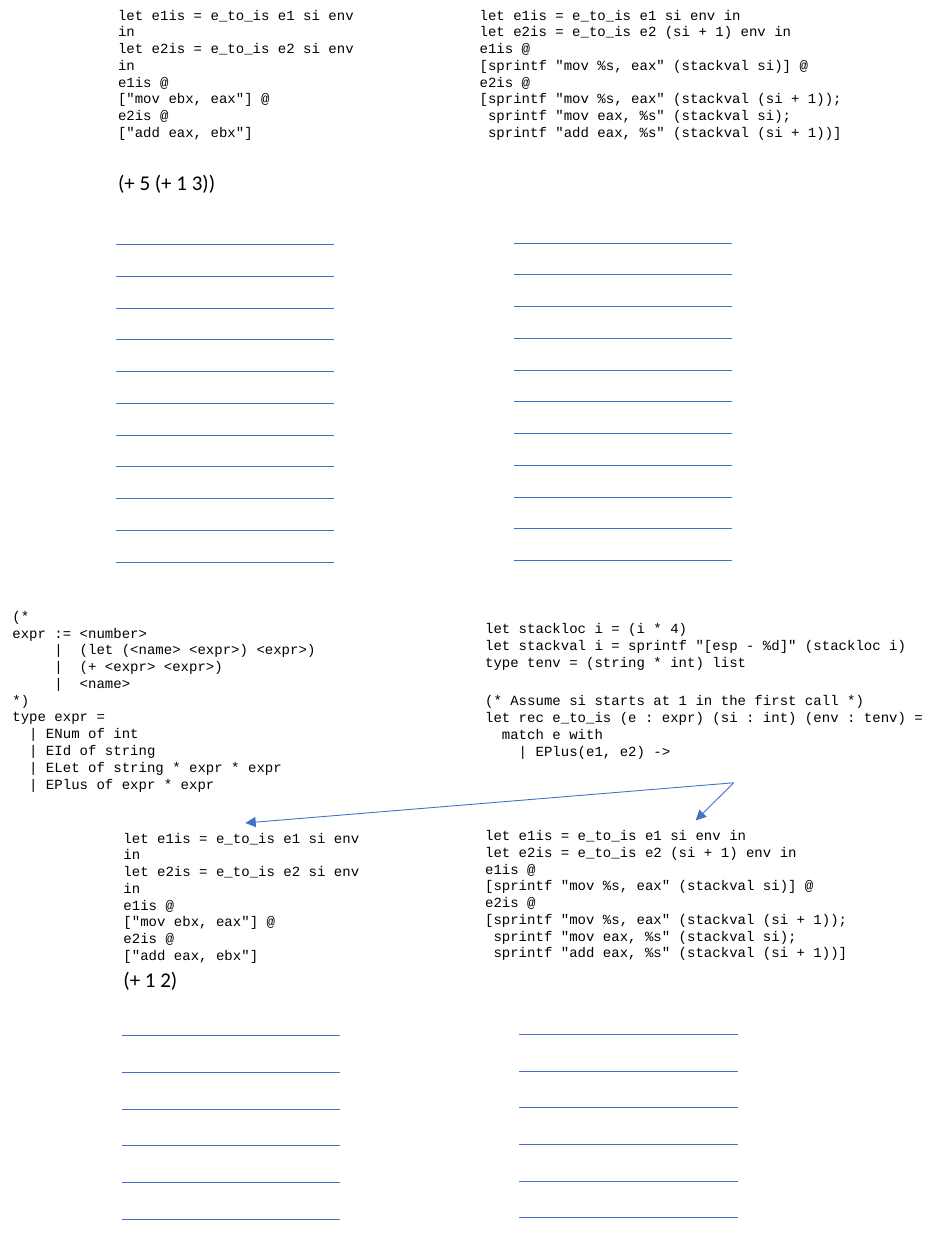
from lxml import etree
from pptx import Presentation
from pptx.dml.color import RGBColor
from pptx.enum.shapes import MSO_CONNECTOR
from pptx.enum.text import MSO_AUTO_SIZE
from pptx.oxml.ns import qn
from pptx.util import Cm, Pt

STRAIGHT = MSO_CONNECTOR.STRAIGHT
GROW = MSO_AUTO_SIZE.SHAPE_TO_FIT_TEXT
BLACK = RGBColor(0x00, 0x00, 0x00)
BLUE = RGBColor(0x44, 0x72, 0xC4)
TOP, BOTTOM = 0, 2

REGISTER_CODE = [
    "let e1is = e_to_is e1 si env in",
    "let e2is = e_to_is e2 si env in",
    "e1is @",
    '["mov ebx, eax"] @',
    "e2is @",
    '["add eax, ebx"]',
]
STACK_CODE = [
    "let e1is = e_to_is e1 si env in",
    "let e2is = e_to_is e2 (si + 1) env in",
    "e1is @",
    '[sprintf "mov %s, eax" (stackval si)] @',
    "e2is @",
    '[sprintf "mov %s, eax" (stackval (si + 1));',
    ' sprintf "mov eax, %s" (stackval si);',
    ' sprintf "add eax, %s" (stackval (si + 1))]',
]
GRAMMAR = [
    "(*",
    "expr := <number>",
    "     |  (let (<name> <expr>) <expr>)",
    "     |  (+ <expr> <expr>)",
    "     |  <name>",
    "*)",
    "type expr =",
    "  | ENum of int",
    "  | EId of string",
    "  | ELet of string * expr * expr",
    "  | EPlus of expr * expr",
]
HELPERS = [
    "let stackloc i = (i * 4)",
    'let stackval i = sprintf "[esp - %d]" (stackloc i)',
    "type tenv = (string * int) list",
]
COMPILER = [
    "(* Assume si starts at 1 in the first call *)",
    "let rec e_to_is (e : expr) (si : int) (env : tenv) =",
    "  match e with",
    "    | EPlus(e1, e2) ->",
]

# Answer lines in cm: left, first line's y, gap, count
ANSWER_LINES = [
    (2.34, 4.93, 0.64, 11),
    (10.36, 4.9, 0.64, 11),
    (2.45, 20.88, 0.74, 6),
    (10.47, 20.85, 0.74, 6),
]
ANSWER_WIDTH = 4.4


def add_text(slide, lines, left, top, width, height, font="Courier New", size=8):
    sp = slide.shapes.add_textbox(Cm(left), Cm(top), Cm(width), Cm(height))
    tf = sp.text_frame
    tf.word_wrap = True
    tf.auto_size = GROW
    for i, line in enumerate(lines):
        p = tf.add_paragraph() if i else tf.paragraphs[0]
        r = p.add_run()
        r.text = line
        r.font.name = font
        r.font.size = Pt(size)
        r.font.color.rgb = BLACK
    return sp


def add_line(slide, x1, y1, x2, y2):
    line = slide.shapes.add_connector(STRAIGHT, Cm(x1), Cm(y1), Cm(x2), Cm(y2))
    line.line.color.rgb = BLUE
    line.line.width = Pt(0.5)
    etree.SubElement(line._element.spPr, qn("a:effectLst"))
    return line


def add_arrow(slide, source, target):
    """Join the bottom of source to the top of target."""
    arrow = add_line(slide, 0, 0, 1, 1)
    arrow.begin_connect(source, BOTTOM)
    arrow.end_connect(target, TOP)
    ln = arrow.line._get_or_add_ln()
    etree.SubElement(ln, qn("a:tailEnd"), type="triangle")


def main():
    prs = Presentation()
    prs.slide_width, prs.slide_height = Cm(19.05), Cm(25.4)
    s = prs.slides.add_slide(prs.slide_layouts[6])

    add_text(s, REGISTER_CODE, 2.13, 0, 5.41, 2.31)
    add_text(s, STACK_CODE, 9.42, 0, 9.63, 3)
    add_text(s, ["(+ 5 (+ 1 3))"], 2.13, 3.3, 3.99, 0.76, font="Calibri", size=12)

    add_text(s, GRAMMAR, 0, 12.12, 8.03, 4.37)
    add_text(s, HELPERS, 9.53, 12.37, 9.52, 1.27)
    compiler = add_text(s, COMPILER, 9.53, 13.82, 10.52, 1.96)

    register = add_text(s, REGISTER_CODE, 2.24, 16.59, 5.41, 2.31)
    stack = add_text(s, STACK_CODE, 9.53, 16.54, 8.99, 3)
    add_text(s, ["(+ 1 2)"], 2.24, 19.35, 3.99, 0.76, font="Calibri", size=12)

    for left, top, gap, count in ANSWER_LINES:
        for i in range(count):
            y = top + i * gap
            add_line(s, left, y, left + ANSWER_WIDTH, y)

    for target in (register, stack):
        add_arrow(s, compiler, target)

    prs.save("out.pptx")


if __name__ == "__main__":
    main()
